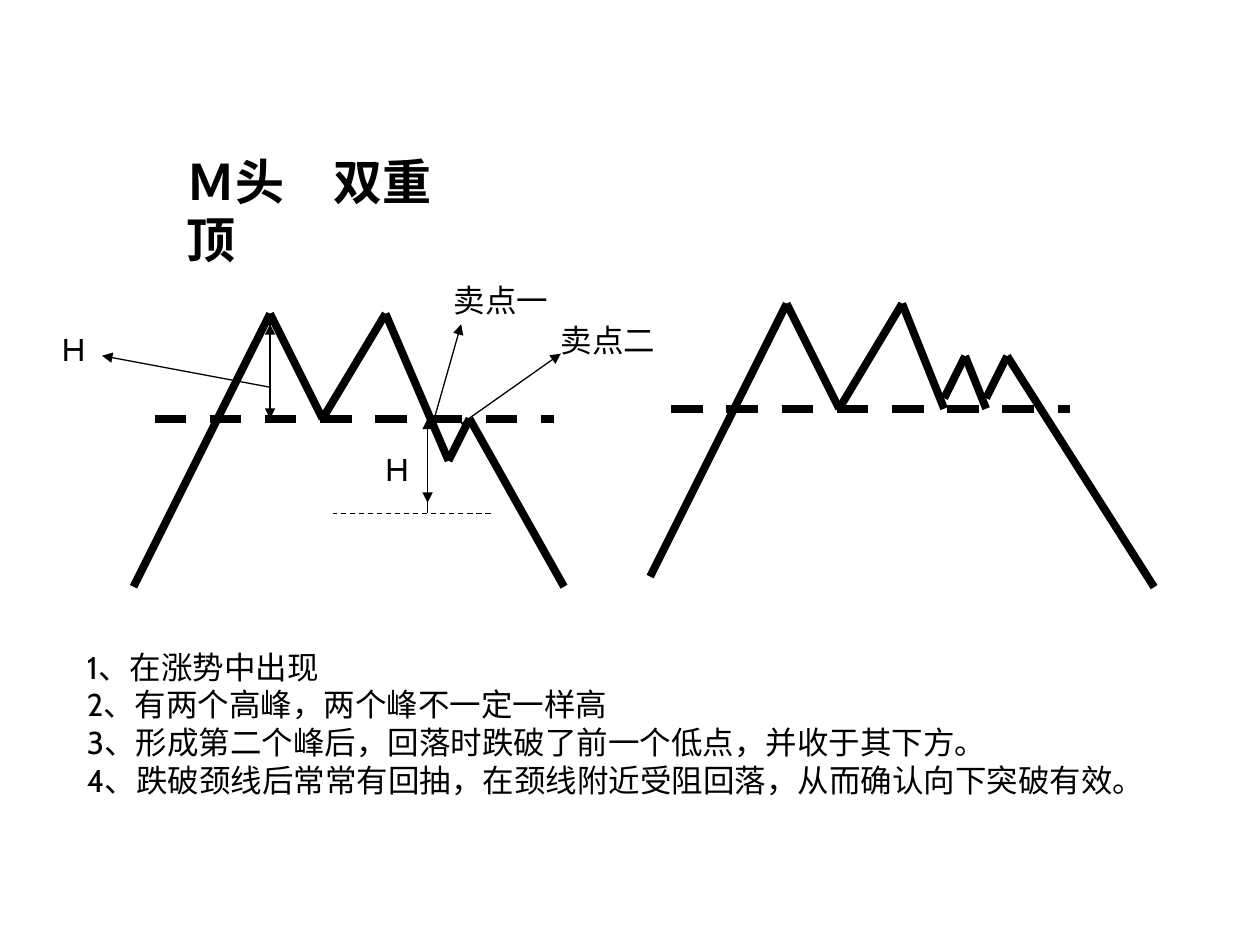
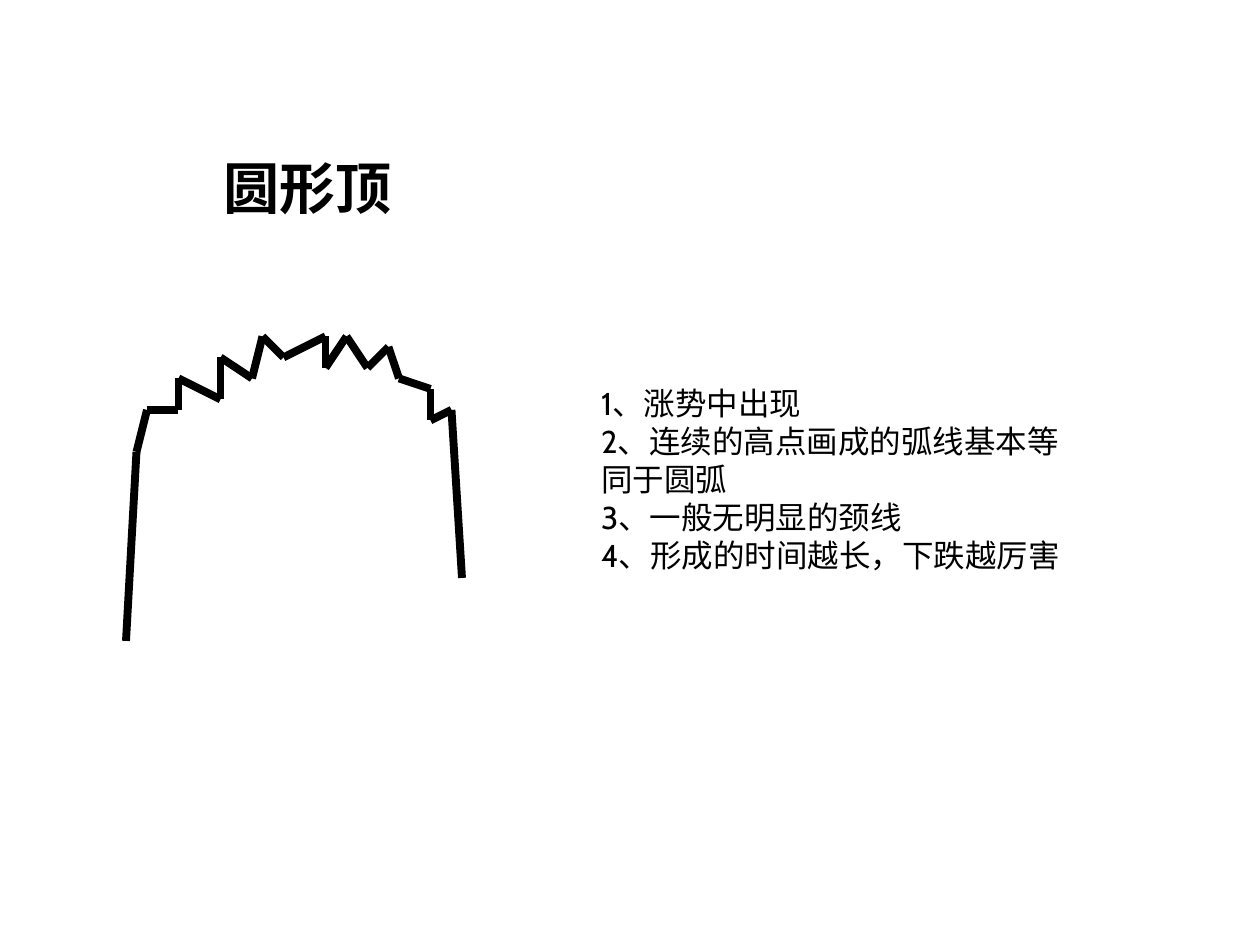
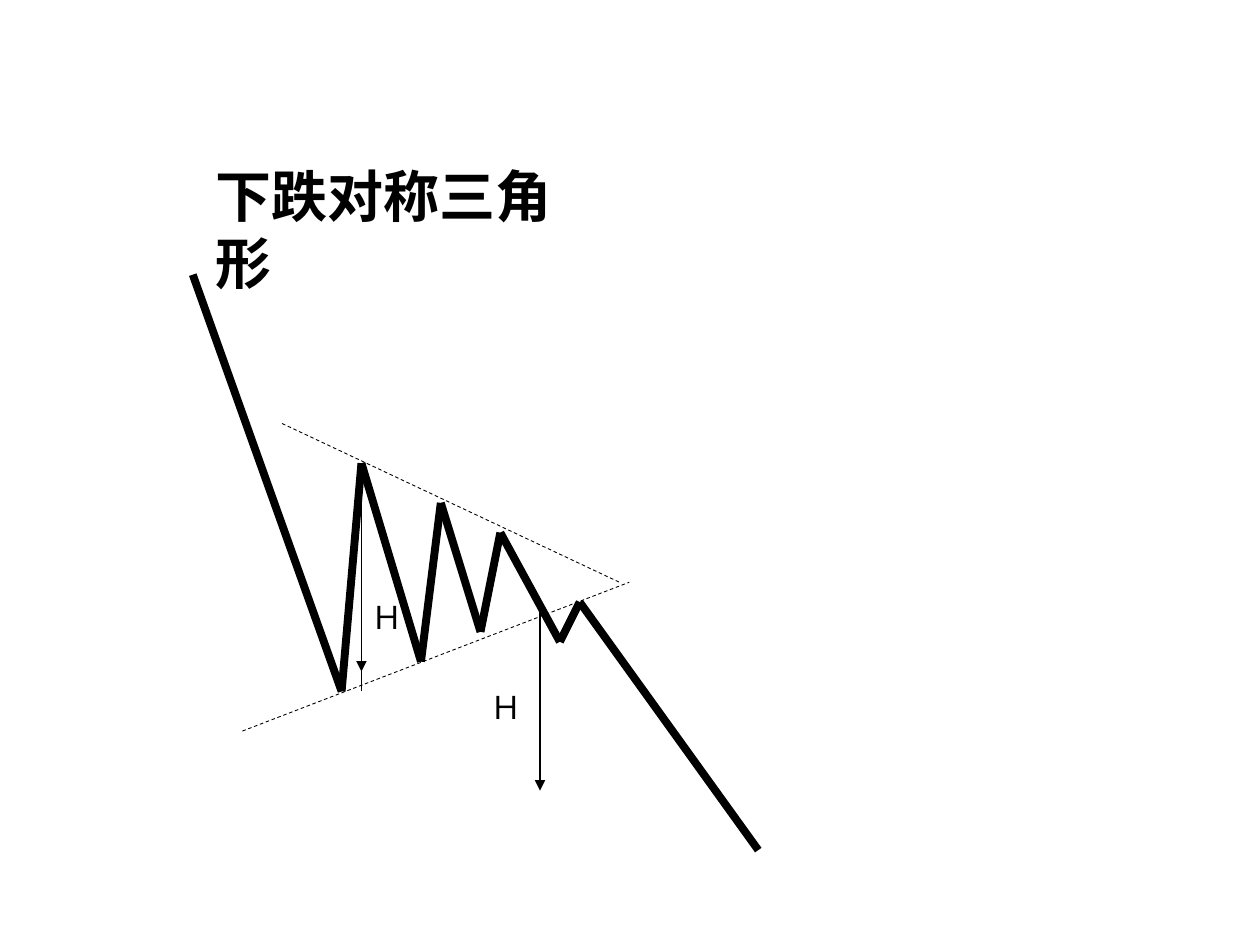
"""Build three slides on chart patterns: double top, rounded top and falling triangle."""
import dataclasses
import itertools

import lxml.etree
import pptx
import pptx.dml.color
import pptx.enum.dml
import pptx.enum.shapes
import pptx.enum.text
import pptx.oxml.ns
import pptx.util


@dataclasses.dataclass(frozen=True)
class Theme:
    """Colours, fonts, type sizes and line widths of the slides."""
    ink: pptx.dml.color.RGBColor = pptx.dml.color.RGBColor(0, 0, 0)
    font: str = "Cabin"
    text_size: int = 18
    title_size: int = 32
    price_width: float = 4.5
    guide_width: float = 0.75
    trend_width: float = 0.5
    label_height: float = 0.4


@dataclasses.dataclass(frozen=True)
class Grid:
    """A drawing grid on a slide, with its origin in inches."""
    slide: object
    left: float
    top: float
    cell: int

    def place(self, column, row):
        """Turn a column and row into a position on the slide."""
        return (pptx.util.Emu(round(pptx.util.Inches(self.left) + column * self.cell)),
                pptx.util.Emu(round(pptx.util.Inches(self.top) + row * self.cell)))


THEME = Theme()
WIDTH, HEIGHT = pptx.util.Inches(10), pptx.util.Inches(7.5)
TITLE_AND_BODY, TITLE_ONLY = 1, 5


def set_values(target, values):
    """Set attributes from a dict of format values."""
    for name, value in values.items():
        setattr(target, name, value)


def write_text(shape, lines, size=THEME.text_size, bold=False, wrap=False):
    """Write plain left-aligned paragraphs into a shape."""
    frame = shape.text_frame
    frame.text = "\n".join(lines)
    set_values(frame, {
        "word_wrap": wrap,
        "auto_size": pptx.enum.text.MSO_AUTO_SIZE.SHAPE_TO_FIT_TEXT,
        "vertical_anchor": pptx.enum.text.MSO_ANCHOR.TOP,
    })
    for paragraph in frame.paragraphs:
        properties = paragraph._p.get_or_add_pPr()
        properties.set("marL", "0")
        properties.set("indent", "0")
        lxml.etree.SubElement(properties, pptx.oxml.ns.qn("a:buNone"))
        set_values(paragraph, {"alignment": pptx.enum.text.PP_ALIGN.LEFT,
                               "space_before": pptx.util.Pt(0)})
        for run in paragraph.runs:
            set_values(run.font, {"name": THEME.font, "size": pptx.util.Pt(size), "bold": bold})
            run.font.color.rgb = THEME.ink


def move(shape, left, top, width, height):
    """Place a shape by percentages of the slide's size."""
    set_values(shape, {
        "left": round(WIDTH * left / 100), "top": round(HEIGHT * top / 100),
        "width": round(WIDTH * width / 100), "height": round(HEIGHT * height / 100),
    })


def add_slide(presentation, layout, title, area, size=THEME.title_size):
    """Add a slide with a bold title."""
    slide = presentation.slides.add_slide(presentation.slide_layouts[layout])
    move(slide.shapes.title, *area)
    write_text(slide.shapes.title, [title], size, bold=True)
    return slide


def add_notes_list(slide, lines, area):
    """Fill the body placeholder with the numbered remarks."""
    body = slide.placeholders[1]
    move(body, *area)
    write_text(body, lines, wrap=True)


def add_line(grid, start, end, width=THEME.guide_width, dashed=False, arrow=False):
    """Draw one straight line between two grid points."""
    connector = grid.slide.shapes.add_connector(
        pptx.enum.shapes.MSO_CONNECTOR.STRAIGHT, *grid.place(*start), *grid.place(*end))
    line = connector.line
    line.color.rgb = THEME.ink
    line.width = pptx.util.Pt(width)
    if dashed:
        line.dash_style = pptx.enum.dml.MSO_LINE.DASH
    if arrow:
        lxml.etree.SubElement(line._get_or_add_ln(), pptx.oxml.ns.qn("a:tailEnd"), type="triangle")
    lxml.etree.SubElement(connector._element.spPr, pptx.oxml.ns.qn("a:effectLst"))


def add_price(grid, points):
    """Draw a price curve as a chain of thick lines."""
    for start, end in itertools.pairwise(points):
        add_line(grid, start, end, THEME.price_width)


def add_arrows(grid, arrows):
    """Draw thin arrows from pairs of grid points."""
    for start, end in arrows:
        add_line(grid, start, end, arrow=True)


def add_labels(grid, labels):
    """Write short labels given as text, column, row and columns wide."""
    for text, column, row, columns in labels:
        box = grid.slide.shapes.add_textbox(
            *grid.place(column, row), round(columns * grid.cell),
            pptx.util.Inches(THEME.label_height))
        write_text(box, [text])


def build_double_top(presentation):
    """Build the double top slide with its two price curves."""
    slide = add_slide(presentation, TITLE_AND_BODY, "Ｍ头　双重顶", (13.8, 15.33, 25.3, 7.6), 28)
    cell = pptx.util.Pt(6)
    broken, retested = Grid(slide, 1.06, 2.49, cell), Grid(slide, 5.16, 2.41, cell)
    peaks = [(0, 26), (13, 0), (18, 10), (24, 0)]
    add_price(broken, peaks + [(30, 14), (32, 10), (41, 26)])
    add_price(retested, peaks + [(28, 10)])
    add_price(retested, [(28, 9), (30, 5), (32, 10)])
    add_price(retested, [(32, 9), (34, 5), (48, 27)])
    for grid in (broken, retested):
        add_line(grid, (2, 10), (40, 10), THEME.price_width, dashed=True)
    add_line(broken, (13, 0), (13, 10))
    add_line(broken, (28, 10), (28, 19))
    add_line(broken, (34, 19), (19, 19), dashed=True)
    add_arrows(broken, [
        ((13, 7), (-3, 4)), ((13, 8), (13, 10)), ((13, 3), (13, 1)),
        ((28, 17), (28, 18)), ((28, 13), (28, 10)),
        ((28.5, 10.5), (31.2, 1)), ((31.2, 10.5), (40.7, 3.8)),
    ])
    add_labels(broken, [("H", -8, 1, 8.3), ("H", 22.8, 12.4, 4.4),
                        ("卖点一", 29.3, -3.7, 11.4), ("卖点二", 39.5, 0.1, 11.4)])
    add_notes_list(slide, [
        "1、在涨势中出现",
        "2、有两个高峰，两个峰不一定一样高",
        "3、形成第二个峰后，回落时跌破了前一个低点，并收于其下方。",
        "4、跌破颈线后常常有回抽，在颈线附近受阻回落，从而确认向下突破有效。",
    ], (5.9, 67.87, 85.9, 17.33))


def build_rounded_top(presentation):
    """Build the rounded top slide."""
    slide = add_slide(presentation, TITLE_AND_BODY, "圆形顶", (16.7, 15.6, 15.4, 8.4))
    add_price(Grid(slide, 1, 2.67, pptx.util.Pt(6)), [
        (0, 29), (1, 11), (2, 7), (5, 7), (5, 4), (9, 6), (9, 2), (12, 4), (13, 0), (15, 2),
        (19, 0), (19, 3), (21, 0), (23, 3), (25, 1), (26, 4), (29, 5), (29, 8), (31, 7), (32, 23),
    ])
    add_notes_list(slide, [
        "1、涨势中出现",
        "2、连续的高点画成的弧线基本等",
        "同于圆弧",
        "3、一般无明显的颈线",
        "4、形成的时间越长，下跌越厉害",
    ], (46.7, 40, 38.4, 21.33))


def build_falling_triangle(presentation):
    """Build the falling symmetrical triangle slide."""
    slide = add_slide(presentation, TITLE_ONLY, "下跌对称三角形", (16.1, 16.4, 33.1, 8.4))
    grid = Grid(slide, 1.53, 2.18, pptx.util.Mm(2))
    for start, end in [((9, 15), (43, 31)), ((5, 46), (44, 31))]:
        add_line(grid, start, end, THEME.trend_width, dashed=True)
    add_price(grid, [(0, 0), (15, 42), (17, 19), (23, 39), (25, 23), (29, 36),
                     (31, 26), (37, 37), (39, 33), (57, 58)])
    add_line(grid, (17, 19), (17, 42))
    add_arrows(grid, [((17, 41), (17, 41)), ((17, 20), (17, 40)), ((35, 34), (35, 52))])
    add_labels(grid, [("Ｈ", 16.8, 32, 5.7), ("Ｈ", 28.8, 41, 5.7)])


def main():
    """Build and save the presentation."""
    presentation = pptx.Presentation()
    set_values(presentation, {"slide_width": WIDTH, "slide_height": HEIGHT})
    for build in (build_double_top, build_rounded_top, build_falling_triangle):
        build(presentation)
    presentation.save("out.pptx")


if __name__ == "__main__":
    main()
